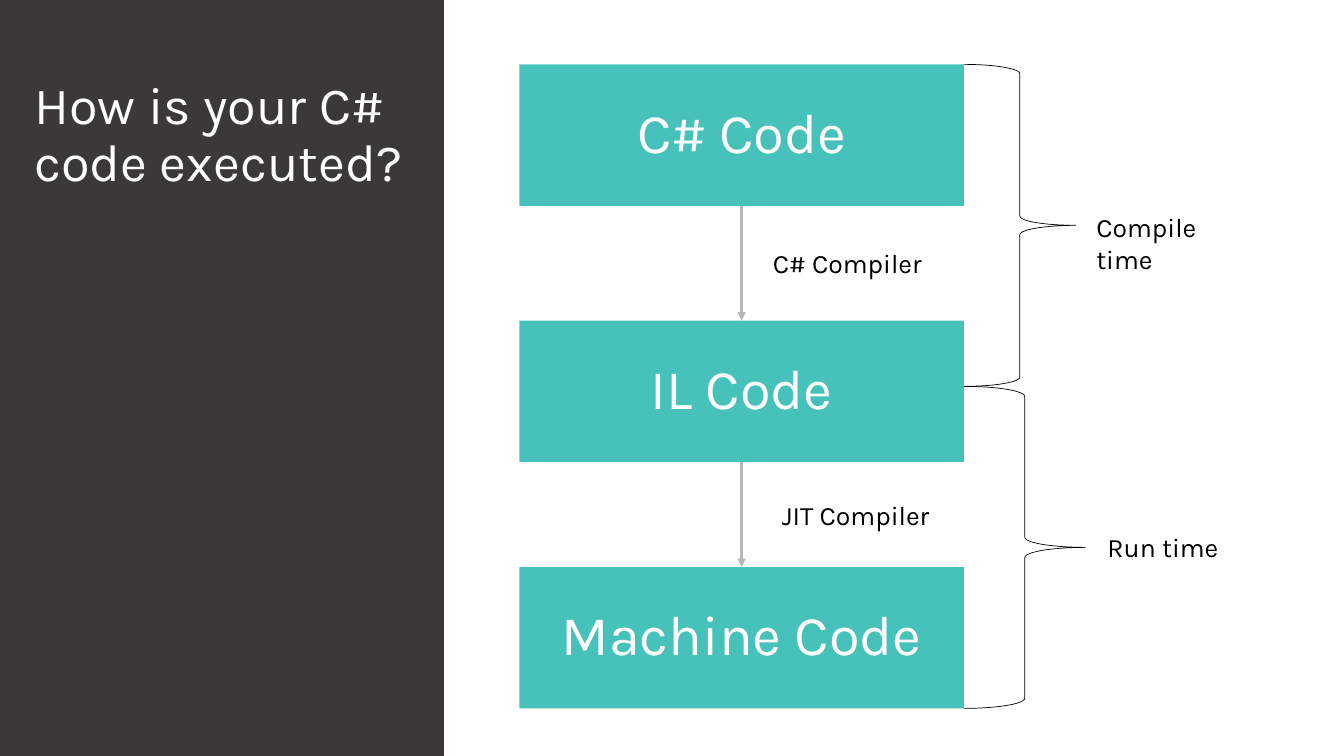
"""Build a slide showing how C# code is compiled and executed."""
from lxml import etree
from pptx import Presentation
from pptx import util as u
from pptx.dml.color import RGBColor
from pptx.enum import shapes, text
from pptx.oxml import ns

COLORS = {"panel": "3B3838", "box": "47C2BA", "arrow": "B7B7B7",
          "light": "FFFFFF", "dark": "000000"}
BOX_LEFT, BOX_WIDTH, BOX_HEIGHT = 371, 317.5, 101
BOX_RIGHT = BOX_LEFT + BOX_WIDTH
BOX_CENTER = BOX_LEFT + BOX_WIDTH / 2


def color(name):
    return RGBColor.from_string(COLORS[name])


def write(shape, words, size=19, ink="dark", align=text.PP_ALIGN.LEFT,
          anchor=text.MSO_ANCHOR.TOP, spacing=1.0, inset=None):
    frame = shape.text_frame
    frame.word_wrap = True
    frame.vertical_anchor = anchor
    if inset is not None:
        frame.margin_left = frame.margin_right = u.Pt(inset)
        frame.margin_top = frame.margin_bottom = u.Pt(inset)
    paragraph = frame.paragraphs[0]
    paragraph.alignment = align
    paragraph.line_spacing = spacing
    run = paragraph.add_run()
    run.text = words
    run.font.name = "Karla"
    run.font.size = u.Pt(size)
    run.font.color.rgb = color(ink)


presentation = Presentation()
presentation.slide_width = u.Pt(960)
presentation.slide_height = u.Pt(540)
slide = presentation.slides.add_slide(presentation.slide_layouts[5])

title = slide.shapes.title
title.left, title.top = u.Pt(15), u.Pt(24)
title.width, title.height = u.Pt(294.5), u.Pt(123)
write(title, "How is your C# code executed?", size=37.3, ink="light",
      anchor=text.MSO_ANCHOR.BOTTOM, spacing=0.9, inset=9.6)
title.text_frame.auto_size = text.MSO_AUTO_SIZE.NONE

panel = slide.shapes.add_shape(shapes.MSO_SHAPE.RECTANGLE, 0, 0, u.Pt(317), u.Pt(540))
panel.shadow.inherit = False
panel.fill.solid()
panel.fill.fore_color.rgb = color("panel")
panel.line.fill.background()
title.element.addprevious(panel.element)

stages = [("C# Code", 46), ("IL Code", 229), ("Machine Code", 405)]
for words, top in stages:
    box = slide.shapes.add_shape(shapes.MSO_SHAPE.RECTANGLE, u.Pt(BOX_LEFT), u.Pt(top),
                                 u.Pt(BOX_WIDTH), u.Pt(BOX_HEIGHT))
    box.shadow.inherit = False
    box.fill.solid()
    box.fill.fore_color.rgb = color("box")
    box.line.fill.background()
    write(box, words, size=40, ink="light", align=text.PP_ALIGN.CENTER,
          anchor=text.MSO_ANCHOR.MIDDLE, spacing=0.9, inset=9.6)

for (_, upper_top), (_, lower_top) in zip(stages, stages[1:]):
    arrow = slide.shapes.add_connector(
        shapes.MSO_CONNECTOR.STRAIGHT, u.Pt(BOX_CENTER), u.Pt(upper_top + BOX_HEIGHT),
        u.Pt(BOX_CENTER), u.Pt(lower_top))
    arrow.line.color.rgb = color("arrow")
    arrow.line.width = u.Pt(2)
    etree.SubElement(arrow.line._get_or_add_ln(), ns.qn("a:tailEnd"), type="triangle")
    etree.SubElement(arrow.element.spPr, ns.qn("a:effectLst"))

for top, width in [(46, 80), (276, 87)]:
    brace = slide.shapes.add_shape(shapes.MSO_SHAPE.RIGHT_BRACE, u.Pt(BOX_RIGHT), u.Pt(top),
                                   u.Pt(width), u.Pt(230))
    brace.shadow.inherit = False
    brace.fill.background()
    brace.line.color.rgb = color("dark")
    brace.line.width = u.Pt(0.5)

labels = [("C# Compiler", 545, 173, 152), ("JIT Compiler", 551.5, 353, 152),
          ("Compile time", 776, 147, 127), ("Run time", 784, 376, 127)]
for words, left, top, width in labels:
    label = slide.shapes.add_textbox(u.Pt(left), u.Pt(top), u.Pt(width), u.Pt(30))
    write(label, words)

presentation.save("out.pptx")
